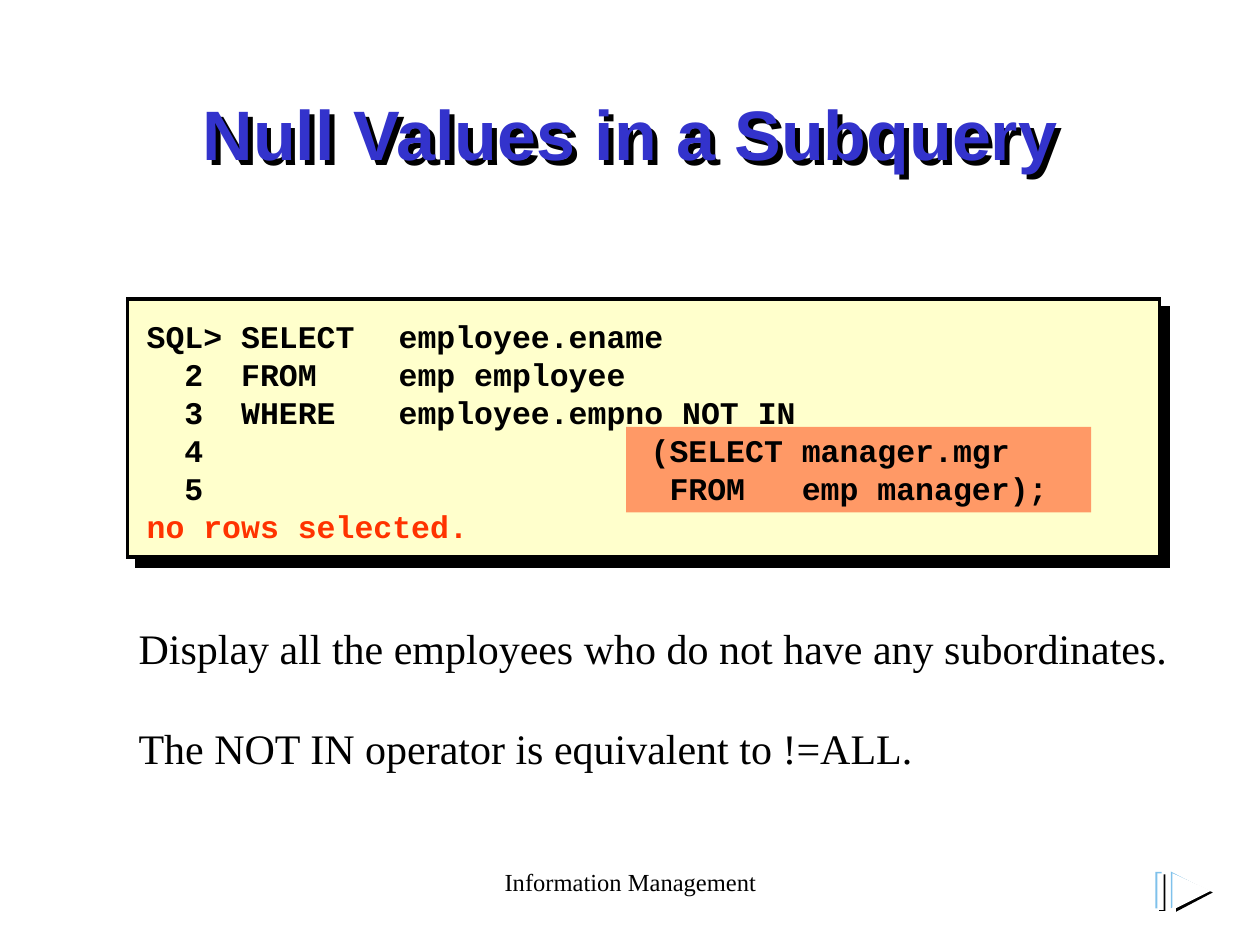
"""Build the slide on null values in a subquery."""
from dataclasses import dataclass

from lxml.etree import SubElement
from pptx import Presentation
from pptx.dml.color import RGBColor
from pptx.enum.shapes import MSO_SHAPE
from pptx.enum.text import MSO_ANCHOR, MSO_AUTO_SIZE, PP_ALIGN
from pptx.oxml.ns import qn
from pptx.util import Pt

BLACK = RGBColor(0x00, 0x00, 0x00)
WHITE = RGBColor(0xFF, 0xFF, 0xFF)
TITLE_BLUE = RGBColor(0x33, 0x33, 0xCC)
CREAM = RGBColor(0xFF, 0xFF, 0xCC)
ORANGE = RGBColor(0xFF, 0x99, 0x66)
RED = RGBColor(0xFF, 0x33, 0x00)
SKY = RGBColor(0x7F, 0xC1, 0xEB)


@dataclass(frozen=True)
class Box:
    left: float
    top: float
    width: float
    height: float

    def lengths(self) -> tuple:
        return Pt(self.left), Pt(self.top), Pt(self.width), Pt(self.height)


@dataclass(frozen=True)
class IconLayer:
    color: RGBColor
    left: float
    top: float


TITLE_BOX = Box(54, 48, 612, 90)
CODE_PANEL = Box(72.9, 170.8, 589.7, 147.6)
SUBQUERY_PANEL = Box(357.8, 244, 265.7, 48.8)
CODE_BOX = Box(76.7, 171.4, 565.2, 149.8)
NOTES_BOX = Box(72, 352, 617.8, 124)
FOOTER_BOX = Box(246.2, 491.8, 228.2, 36)

CODE_TABS = [94.3, 144, 216, 288]
CODE_LINES = [
    ("SQL> SELECT\temployee.ename", BLACK),
    ("  2  FROM \temp employee", BLACK),
    ("  3  WHERE \temployee.empno NOT IN", BLACK),
    ("  4\t\t\t\t(SELECT manager.mgr", BLACK),
    ("  5\t\t\t\t FROM   emp manager);", BLACK),
    ("no rows selected.", RED),
]
NOTES = [
    ("Display all the employees who do not have any subordinates.", 0, 0),
    ("The NOT IN operator is equivalent to !=ALL.", 1, 28.5),
]
ICON_LAYERS = [
    IconLayer(BLACK, 662.4, 499.7),
    IconLayer(SKY, 660.2, 498.2),
    IconLayer(WHITE, 661.3, 499),
]


def add_shadow(shape, distance: float) -> None:
    shape.shadow.inherit = False
    effects = shape._element.spPr.find(qn("a:effectLst"))
    shadow = SubElement(effects, qn("a:outerShdw"), blurRad="0",
                        dist=str(Pt(distance)), dir="2700000", algn="ctr", rotWithShape="0")
    SubElement(shadow, qn("a:srgbClr"), val=str(BLACK))


def paint(shape, color: RGBColor) -> None:
    shape.shadow.inherit = False
    shape.fill.solid()
    shape.fill.fore_color.rgb = color
    shape.line.fill.background()


def add_rectangle(shapes, box: Box, color: RGBColor):
    shape = shapes.add_shape(MSO_SHAPE.RECTANGLE, *box.lengths())
    paint(shape, color)
    return shape


def place(shape, box: Box) -> None:
    shape.left, shape.top, shape.width, shape.height = box.lengths()
    shape.text_frame.auto_size = MSO_AUTO_SIZE.NONE


def write(paragraph, text: str, font_name: str, size: float, color: RGBColor, bold: bool = False) -> None:
    paragraph.text = text
    font = paragraph.font
    font.name, font.size, font.bold = font_name, Pt(size), bold
    font.color.rgb = color


def paragraphs_for(frame, count: int) -> list:
    return [frame.paragraphs[0]] + [frame.add_paragraph() for _ in range(count - 1)]


def add_title(slide) -> None:
    title = slide.shapes.title
    place(title, TITLE_BOX)
    title.fill.background()
    add_shadow(title, 4)
    frame = title.text_frame
    frame.vertical_anchor = MSO_ANCHOR.TOP
    paragraph = frame.paragraphs[0]
    write(paragraph, "Null Values in a Subquery", "Arial", 40, TITLE_BLUE, True)
    paragraph.alignment = PP_ALIGN.CENTER


def add_code(slide) -> None:
    panel = add_rectangle(slide.shapes, CODE_PANEL, CREAM)
    panel.line.color.rgb = BLACK
    panel.line.width = Pt(2)
    SubElement(panel._element.spPr.find(qn("a:ln")), qn("a:miter"), lim="800000")
    add_shadow(panel, 7.1)
    add_rectangle(slide.shapes, SUBQUERY_PANEL, ORANGE)
    frame = slide.shapes.add_textbox(*CODE_BOX.lengths()).text_frame
    frame.word_wrap = False
    frame.vertical_anchor = MSO_ANCHOR.MIDDLE
    for paragraph, (text, color) in zip(paragraphs_for(frame, len(CODE_LINES)), CODE_LINES):
        write(paragraph, text, "Courier New", 18, color, True)
        paragraph.line_spacing = Pt(21.7)
        properties = paragraph._p.pPr
        tabs = properties.makeelement(qn("a:tabLst"))
        for position in CODE_TABS:
            SubElement(tabs, qn("a:tab"), pos=str(Pt(position)), algn="l")
        properties.find(qn("a:defRPr")).addprevious(tabs)


def add_notes(slide) -> None:
    body = slide.placeholders[1]
    place(body, NOTES_BOX)
    frame = body.text_frame
    for paragraph, (text, level, gap) in zip(paragraphs_for(frame, len(NOTES)), NOTES):
        write(paragraph, text, "Times New Roman", 24, BLACK)
        paragraph.level = level
        paragraph.space_before = Pt(gap)
        properties = paragraph._p.pPr
        properties.set("marL", "0")
        properties.set("indent", "0")
        properties.find(qn("a:defRPr")).addprevious(properties.makeelement(qn("a:buNone")))


def add_footer(slide) -> None:
    frame = slide.shapes.add_textbox(*FOOTER_BOX.lengths()).text_frame
    frame.word_wrap = True
    paragraph = frame.paragraphs[0]
    write(paragraph, "Information Management", "Times New Roman", 14, BLACK)
    paragraph.alignment = PP_ALIGN.CENTER


def add_icon(slide) -> None:
    shapes = slide.shapes.add_group_shape().shapes
    for layer in ICON_LAYERS:
        add_rectangle(shapes, Box(layer.left, layer.top, 3.6, 20.9), layer.color)
    for layer in ICON_LAYERS:
        left, top = layer.left + 9.2, layer.top
        builder = shapes.build_freeform(left, top, scale=Pt(1))
        builder.add_line_segments([(left, top + 20.9), (left + 21, top + 10.4)], close=True)
        paint(builder.convert_to_shape(), layer.color)


def main() -> None:
    presentation = Presentation()
    presentation.slide_width, presentation.slide_height = Pt(720), Pt(540)
    slide = presentation.slides.add_slide(presentation.slide_layouts[1])
    add_title(slide)
    add_code(slide)
    add_notes(slide)
    add_footer(slide)
    add_icon(slide)
    presentation.save("out.pptx")


if __name__ == "__main__":
    main()
